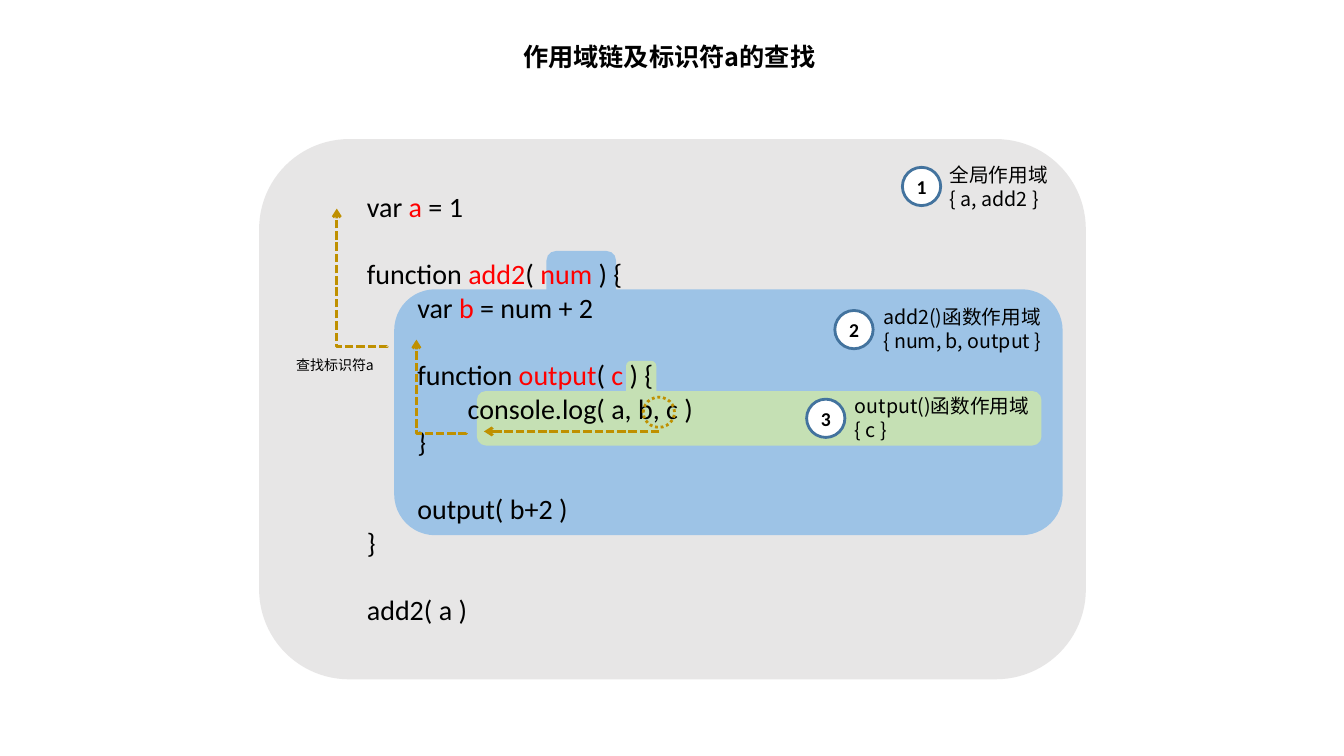
from dataclasses import dataclass

from pptx import Presentation
from pptx.dml.color import RGBColor
from pptx.enum.dml import MSO_LINE
from pptx.enum.shapes import MSO_CONNECTOR, MSO_SHAPE
from pptx.enum.text import MSO_ANCHOR, PP_ALIGN
from pptx.oxml.ns import qn
from pptx.util import Inches, Pt
from lxml import etree

ROUND, OVAL = MSO_SHAPE.ROUNDED_RECTANGLE, MSO_SHAPE.OVAL
STRAIGHT, ELBOW = MSO_CONNECTOR.STRAIGHT, MSO_CONNECTOR.ELBOW
DASH, DOT = MSO_LINE.SQUARE_DOT, MSO_LINE.ROUND_DOT
CENTER, MIDDLE = PP_ALIGN.CENTER, MSO_ANCHOR.MIDDLE


@dataclass(frozen=True)
class Theme:
    ink: str = "000000"
    red: str = "FF0000"
    white: str = "FFFFFF"
    gray: str = "E7E6E6"
    blue: str = "9DC3E6"
    green: str = "C5E0B4"
    ring: str = "43739E"
    gold: str = "BF9000"
    latin: str = "Calibri"
    cjk: str = "Noto Sans CJK SC"
    title: int = 18
    code: int = 20
    label: int = 14
    note: int = 10
    line: int = 2
    gap: int = 24


@dataclass(frozen=True)
class Box:
    left: float
    top: float
    width: float
    height: float

    def lengths(self) -> tuple:
        return tuple(map(Inches, (self.left, self.top, self.width, self.height)))


@dataclass(frozen=True)
class Block:
    box: Box
    fill: str


@dataclass(frozen=True)
class Scope:
    num: int
    badge: tuple
    label: Box
    lines: tuple


@dataclass(frozen=True)
class Code:
    text: str  # names between bars are red
    depth: int = 0
    gap: bool = False


T = Theme()
BADGE = 0.38
INDENT = 0.5

BLOCKS = (
    Block(Box(2.57, 1.38, 8.2, 5.36), T.gray),
    Block(Box(3.91, 2.87, 6.63, 2.44), T.blue),
    Block(Box(5.42, 2.49, 0.69, 0.56), T.blue),
    Block(Box(4.73, 3.88, 5.6, 0.54), T.green),
    Block(Box(6.21, 3.58, 0.3, 0.42), T.green),
)
SCOPES = (
    Scope(1, (8.95, 1.66), Box(9.32, 1.57, 1.26, 0.57),
          ("全局作用域", "{ a, add2 }")),
    Scope(2, (8.28, 3.08), Box(8.66, 2.98, 1.83, 0.57),
          ("add2()函数作用域", "{ num, b, output }")),
    Scope(3, (8.0, 3.96), Box(8.38, 3.86, 1.95, 0.57),
          ("output()函数作用域", "{ c }")),
)
CODE = (
    Code("var |a| = 1"),
    Code("function |add2|( |num |) {", gap=True),
    Code("var |b| = num + 2", 1),
    Code("function |output|( |c |) {", 1, True),
    Code("console.log( a, b, c )", 2),
    Code("}", 1),
    Code("output( b+2 )", 1, True),
    Code("}"),
    Code("add2( a )", gap=True),
)

deck = Presentation()
deck.slide_width, deck.slide_height = Inches(13.33), Inches(7.5)
slide = deck.slides.add_slide(deck.slide_layouts[6])


def rgb(color: str) -> RGBColor:
    return RGBColor.from_string(color)


def add_form(kind, box: Box, fill: str = "", line: str = "", dash=None):
    form = slide.shapes.add_shape(kind, *box.lengths())
    form.shadow.inherit = False
    if fill:
        form.fill.solid()
        form.fill.fore_color.rgb = rgb(fill)
    else:
        form.fill.background()
    if line:
        form.line.color.rgb = rgb(line)
        form.line.width = Pt(T.line)
        form.line.dash_style = dash
    else:
        form.line.fill.background()
    return form


def add_frame(box: Box):
    frame = slide.shapes.add_textbox(*box.lengths()).text_frame
    frame.word_wrap = True
    return frame


def set_font(para, size: int, name: str, bold: bool = False) -> None:
    font = para.font
    font.size, font.name, font.bold = Pt(size), name, bold
    font.color.rgb = rgb(T.ink)


def add_text(box: Box, lines: tuple, size: int, bold: bool = False) -> None:
    frame = add_frame(box)
    frame.text = "\n".join(lines)
    for para in frame.paragraphs:
        set_font(para, size, T.cjk, bold)
        for run in para.runs:
            east = etree.SubElement(run._r.get_or_add_rPr(), qn("a:ea"))
            east.set("typeface", T.cjk)


def add_badge(scope: Scope) -> None:
    form = add_form(OVAL, Box(*scope.badge, BADGE, BADGE), T.white, T.ring)
    frame = form.text_frame
    frame.margin_left = frame.margin_right = 0
    frame.margin_top = frame.margin_bottom = 0
    frame.vertical_anchor, frame.word_wrap = MIDDLE, False
    para = frame.paragraphs[0]
    para.text, para.alignment = str(scope.num), CENTER
    set_font(para, T.label, T.latin, True)


def add_code(box: Box, lines: tuple) -> None:
    frame = add_frame(box)
    for row, line in enumerate(lines):
        para = frame.add_paragraph() if row else frame.paragraphs[0]
        set_font(para, T.code, T.latin)
        para._p.get_or_add_pPr().set("marL", str(Inches(INDENT * line.depth)))
        if line.gap:
            para.space_before = Pt(T.gap)
        for part, text in enumerate(line.text.split("|")):
            run = para.add_run()
            run.text = text
            if part % 2:
                run.font.color.rgb = rgb(T.red)


def add_arrow(kind, start: tuple, end: tuple):
    link = slide.shapes.add_connector(kind, *map(Inches, start + end))
    link.line.color.rgb = rgb(T.gold)
    link.line.width = Pt(T.line)
    link.line.dash_style = DASH
    tail = etree.SubElement(link.line._get_or_add_ln(), qn("a:tailEnd"))
    tail.set("type", "arrow")
    etree.SubElement(link._element.spPr, qn("a:effectLst"))
    return link


def add_bend(start: tuple, end: tuple) -> None:
    """Go left, then up: an elbow turned by 270 degrees about its middle."""
    (x1, y1), (x2, y2) = start, end
    midx, midy = (x1 + x2) / 2, (y1 + y2) / 2
    halfw, halfh = (y1 - y2) / 2, (x1 - x2) / 2
    link = add_arrow(ELBOW, (midx - halfw, midy + halfh),
                     (midx + halfw, midy - halfh))
    props = link._element.spPr
    props.find(qn("a:xfrm")).set("rot", str(270 * 60000))
    guides = props.find(qn("a:prstGeom")).get_or_add_avLst()
    guide = etree.SubElement(guides, qn("a:gd"))
    guide.set("name", "adj1")
    guide.set("fmla", "val -100")


# Nested scopes
for block in BLOCKS:
    add_form(ROUND, block.box, block.fill)

# Code and scope labels
add_code(Box(3.54, 1.83, 4.72, 4.48), CODE)
for scope in SCOPES:
    add_text(scope.label, scope.lines, T.label)
    add_badge(scope)

# Lookup of a
add_arrow(STRAIGHT, (6.54, 4.28), (4.8, 4.28))
add_form(OVAL, Box(6.38, 3.94, 0.31, 0.3), line=T.gold, dash=DOT)
add_bend((4.63, 4.3), (4.13, 3.37))
add_bend((3.84, 3.44), (3.34, 2.07))
add_text(Box(2.84, 3.49, 1.04, 0.27), ("查找标识符a",), T.note)

# Title
add_text(Box(5.09, 0.36, 3.15, 0.4), ("作用域链及标识符a的查找",), T.title, True)

deck.save("out.pptx")
